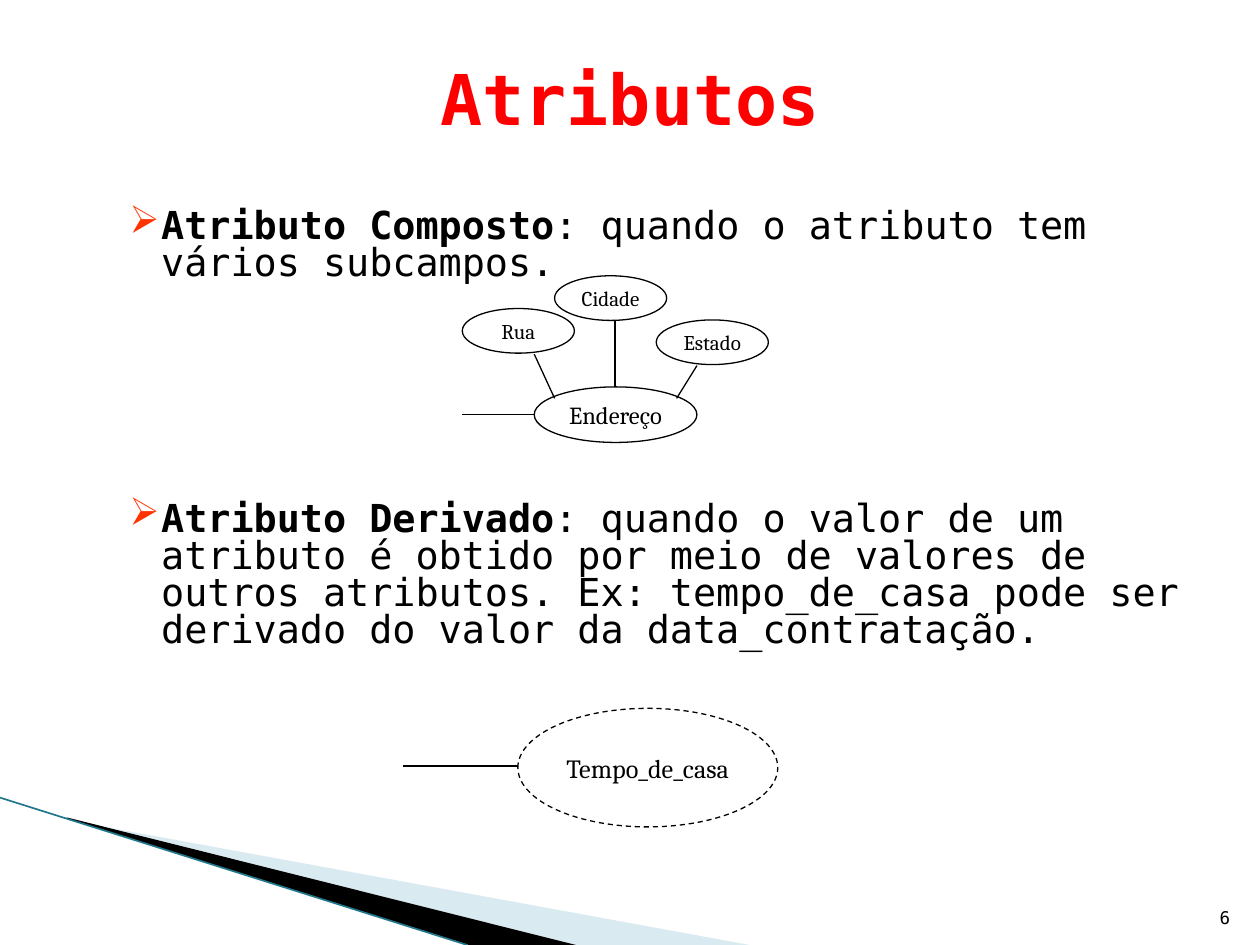
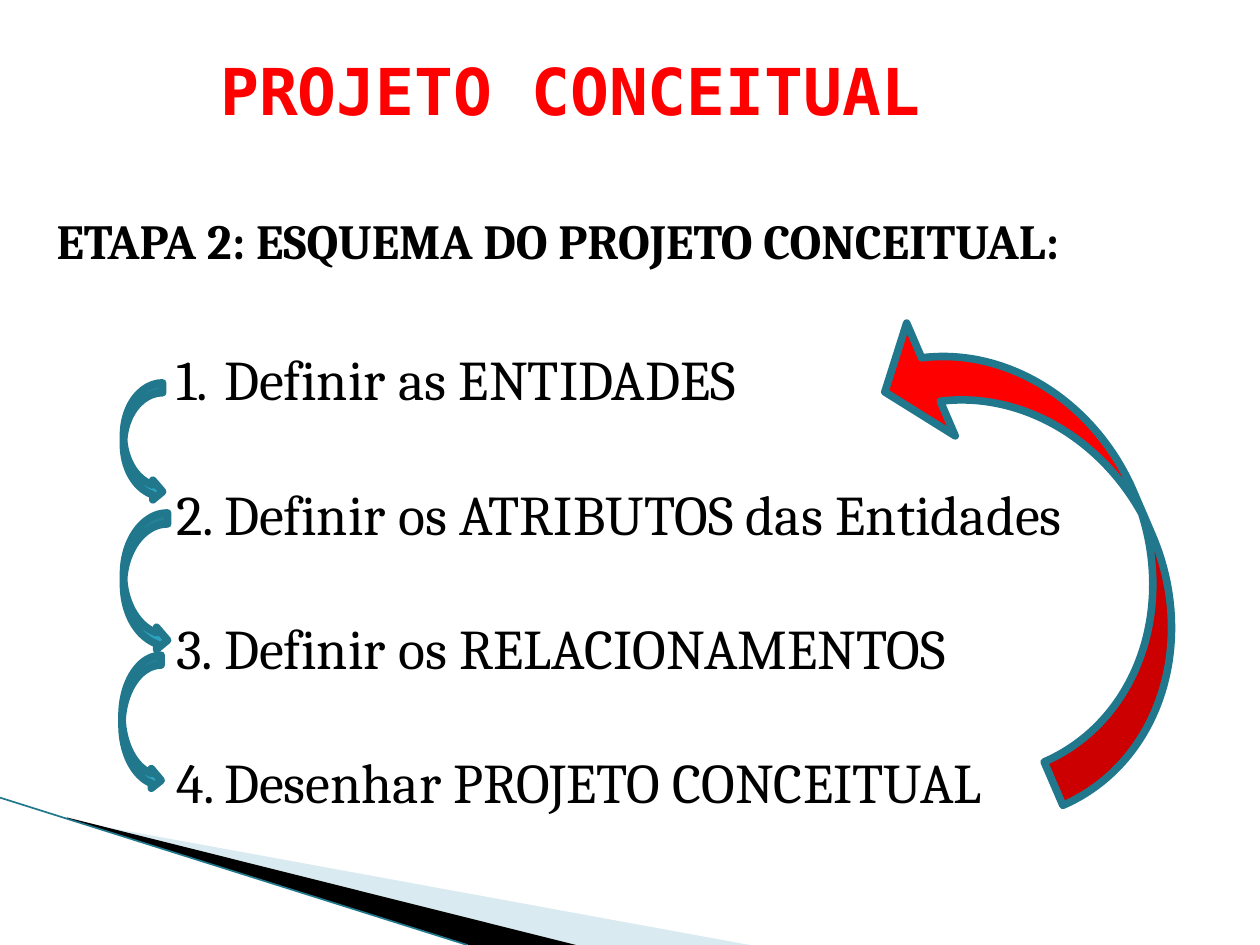
from lxml import etree
from pptx import Presentation
from pptx import util as u
from pptx.dml.color import RGBColor
from pptx.enum import dml, shapes, text
from pptx.oxml import ns

WHITE = RGBColor(0xFF, 0xFF, 0xFF)
BLACK = RGBColor(0x00, 0x00, 0x00)
RED = RGBColor(0xFF, 0x00, 0x00)
BULLET_RED = RGBColor(0xFF, 0x33, 0x00)
PALE_BLUE = RGBColor(0xA0, 0xCB, 0xDC)
TEAL = RGBColor(0x2D, 0xA2, 0xBF)
DARK_TEAL = RGBColor(0x21, 0x78, 0x8D)
MONO = "DejaVu Sans Mono"
SERIF = "Cambria"
ALIGN = text.PP_ALIGN
ANCHOR = text.MSO_ANCHOR


def add_xml(parent, tag, **attributes):
    return etree.SubElement(parent, ns.qn(tag), attributes)


class Deck:
    def __init__(self):
        self.presentation = Presentation()
        self.presentation.slide_width = u.Cm(25.4)
        self.presentation.slide_height = u.Cm(19.05)
        self.slide = None

    def new_slide(self):
        self.slide = self.presentation.slides.add_slide(self.presentation.slide_layouts[6])
        self.slide.background.fill.solid()
        self.slide.background.fill.fore_color.rgb = WHITE
        self.band([(1.4, 16.54), (15.11, 19.05), (11.58, 19.05), (1.4, 16.51)], PALE_BLUE, 40)
        self.band([(1.35, 16.48), (11.61, 19.05), (9.45, 19.05), (1.37, 16.51)], BLACK)
        self.line((0, 16.08), (9.42, 19.05), DARK_TEAL, 0.95)

    def band(self, points, color, opacity=100):
        corners = [(u.Cm(x), u.Cm(y)) for x, y in points]
        builder = self.slide.shapes.build_freeform(*corners[0])
        builder.add_line_segments(corners[1:])
        shape = builder.convert_to_shape()
        shape.shadow.inherit = False
        shape.fill.solid()
        shape.fill.fore_color.rgb = color
        shape.line.fill.background()
        if opacity < 100:
            rgb = shape.fill._xPr.find(".//" + ns.qn("a:srgbClr"))
            add_xml(rgb, "a:alpha", val=str(opacity * 1000))

    def line(self, start, end, color=BLACK, width=0.75):
        ends = [u.Cm(value) for value in (*start, *end)]
        connector = self.slide.shapes.add_connector(shapes.MSO_CONNECTOR.STRAIGHT, *ends)
        connector.line.color.rgb = color
        connector.line.width = u.Pt(width)
        add_xml(connector._element.spPr, "a:effectLst")

    def style(self, paragraph, font_name, size, color=BLACK, bold=False, align=ALIGN.LEFT):
        paragraph.alignment = align
        for font in (paragraph.font, *(run.font for run in paragraph.runs)):
            font.name = font_name
            font.size = u.Pt(size)
            font.color.rgb = color
            if bold is not None:
                font.bold = bold

    def text_box(self, box, anchor=ANCHOR.TOP):
        frame = self.slide.shapes.add_textbox(*map(u.Cm, box)).text_frame
        frame.word_wrap = True
        frame.vertical_anchor = anchor
        return frame

    def label(self, box, words, font_name, size, anchor=ANCHOR.TOP, **style):
        paragraph = self.text_box(box, anchor).paragraphs[0]
        paragraph.text = words
        self.style(paragraph, font_name, size, **style)

    def title(self, box, words, size):
        self.label(box, words, MONO, size, ANCHOR.MIDDLE,
                   color=RED, bold=True, align=ALIGN.CENTER)

    def list_paragraphs(self, box, count, margin, indent):
        frame = self.text_box(box)
        for index in range(count):
            paragraph = frame.add_paragraph() if index else frame.paragraphs[0]
            properties = paragraph._p.get_or_add_pPr()
            properties.set("marL", str(u.Cm(margin)))
            properties.set("indent", str(-u.Cm(indent)))
            yield paragraph, properties

    def definitions(self, box, entries, gap):
        paragraphs = self.list_paragraphs(box, len(entries), 1.73, 0.64)
        for index, ((paragraph, properties), (term, meaning)) in enumerate(zip(paragraphs, entries)):
            add_xml(add_xml(properties, "a:buClr"), "a:srgbClr", val=str(BULLET_RED))
            add_xml(properties, "a:buChar", char="➢")
            paragraph.line_spacing = 0.8
            paragraph.space_before = u.Pt(gap if index else 3.2)
            for words, bold in ((term, True), (meaning, False)):
                run = paragraph.add_run()
                run.text = words
                run.font.bold = bold
            self.style(paragraph, MONO, 22, bold=None)

    def steps(self, box, entries, gap):
        paragraphs = self.list_paragraphs(box, len(entries), 0.97, 0.97)
        for index, ((paragraph, properties), words) in enumerate(zip(paragraphs, entries)):
            add_xml(properties, "a:buAutoNum", type="arabicPeriod")
            paragraph.space_before = u.Pt(gap if index else 0)
            paragraph.text = words
            self.style(paragraph, SERIF, 32)

    def attribute(self, box, words, size, derived=False):
        shape = self.slide.shapes.add_shape(shapes.MSO_SHAPE.OVAL, *map(u.Cm, box))
        shape.shadow.inherit = False
        shape.fill.background()
        shape.line.color.rgb = BLACK
        shape.line.width = u.Pt(0.75)
        if derived:
            shape.line.dash_style = dml.MSO_LINE.DASH
        shape.text_frame.word_wrap = False
        shape.text_frame.vertical_anchor = ANCHOR.MIDDLE
        paragraph = shape.text_frame.paragraphs[0]
        paragraph.text = words
        self.style(paragraph, SERIF, size, align=ALIGN.CENTER)

    def curved_arrow(self, box, color=TEAL, rotation=0, bend=0.5):
        shape = self.slide.shapes.add_shape(shapes.MSO_SHAPE.CURVED_RIGHT_ARROW, *map(u.Cm, box))
        shape.shadow.inherit = False
        shape.adjustments[1] = bend
        shape.rotation = rotation
        shape.fill.solid()
        shape.fill.fore_color.rgb = color
        shape.line.color.rgb = DARK_TEAL
        shape.line.width = u.Pt(4.33)


def attributes_slide(deck):
    deck.new_slide()
    deck.definitions((1.27, 4.11, 22.86, 13.74), [
        ("Atributo Composto", ": quando o atributo tem vários subcampos."),
        ("Atributo Derivado", ": quando o valor de um atributo é obtido por meio de valores "
                              "de outros atributos. Ex: tempo_de_casa pode ser derivado do "
                              "valor da data_contratação."),
    ], gap=125)
    deck.title((1.27, 0.76, 22.86, 2.41), "Atributos", 40)

    deck.attribute((10.77, 7.8, 3.28, 1.12), "Endereço", 14)
    for left, top, subfield in ((9.32, 6.22, "Rua"), (11.18, 5.56, "Cidade"),
                                (13.23, 6.45, "Estado")):
        deck.attribute((left, top, 2.26, 0.9), subfield, 12)
    for start, end in (((9.32, 8.36), (10.77, 8.36)), ((12.4, 7.8), (12.4, 6.45)),
                       ((13.64, 8.03), (14.05, 7.37)), ((11.18, 8.03), (10.77, 7.14))):
        deck.line(start, end)

    deck.attribute((10.44, 14.28, 5.24, 2.39), "Tempo_de_casa", 15, derived=True)
    deck.line((8.13, 15.44), (10.44, 15.44))
    deck.label((24.03, 17.81, 1.02, 1.02), "6", MONO, 10, ANCHOR.BOTTOM, align=ALIGN.RIGHT)


def conceptual_design_slide(deck):
    deck.new_slide()
    deck.title((2.87, 0.91, 17.27, 1.8), "PROJETO CONCEITUAL", 36.9)
    deck.label((0.89, 4.11, 21.67, 1.45), "ETAPA 2: ESQUEMA DO PROJETO CONCEITUAL:",
               SERIF, 28, bold=True)
    deck.steps((3.3, 6.83, 21.21, 9.83), [
        "Definir as ENTIDADES",
        "Definir os ATRIBUTOS das Entidades",
        "Definir os RELACIONAMENTOS",
        "Desenhar PROJETO CONCEITUAL",
    ], gap=38.3)
    for box in ((2.49, 7.72, 0.79, 2.39), (2.49, 10.34, 0.89, 2.79), (2.46, 13.21, 0.79, 2.72)):
        deck.curved_arrow(box)
    deck.curved_arrow((19.23, 5.59, 3.81, 10.31), RED, rotation=156.7, bend=0.65)


def main():
    deck = Deck()
    attributes_slide(deck)
    conceptual_design_slide(deck)
    deck.presentation.save("out.pptx")


if __name__ == "__main__":
    main()
